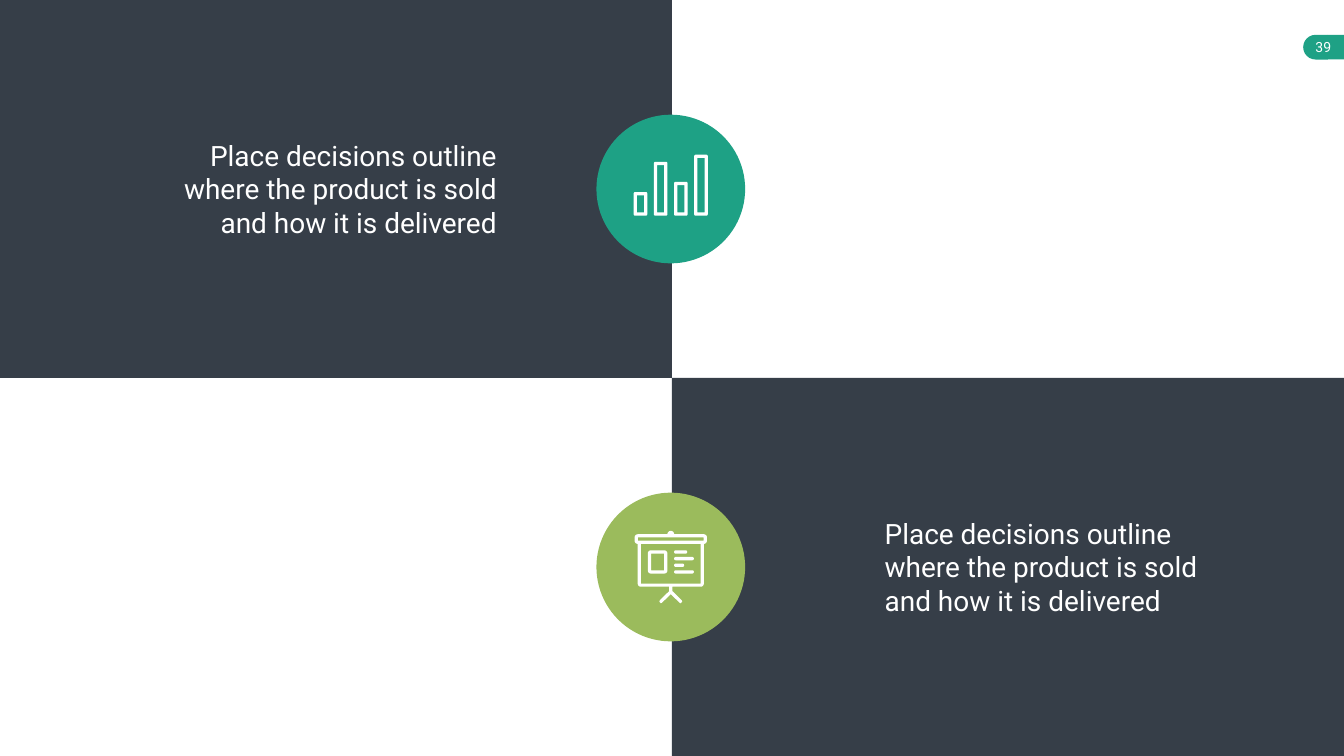
from math import cos, radians, sin

from pptx import Presentation
from pptx.dml.color import RGBColor
from pptx.enum.shapes import MSO_SHAPE
from pptx.enum.text import MSO_ANCHOR, PP_ALIGN
from pptx.util import Pt

COLORS = {"dark": "363E48", "teal": "1EA185", "green": "9BBB5C", "white": "FFFFFF"}
WIDTH, HEIGHT = 1919.52, 1080
HALF_WIDTH, HALF_HEIGHT = WIDTH / 2, HEIGHT / 2
ICON_X = 958
WALL = 4.6
MESSAGE = "Place decisions outline where the product is sold and how it is delivered"


class SlideBuilder:
    def __init__(self, slide, font="Roboto"):
        self.slide = slide
        self.font = font

    def paint(self, shape, color):
        shape.shadow.inherit = False
        shape.fill.solid()
        shape.fill.fore_color.rgb = RGBColor.from_string(COLORS[color])
        shape.line.fill.background()
        return shape

    def shape(self, kind, left, top, width, height, color):
        shape = self.slide.shapes.add_shape(kind, Pt(left), Pt(top), Pt(width), Pt(height))
        return self.paint(shape, color)

    def text(self, words, left, top, width, height, size, align, anchor=MSO_ANCHOR.TOP):
        box = self.slide.shapes.add_textbox(Pt(left), Pt(top), Pt(width), Pt(height))
        frame = box.text_frame
        frame.word_wrap = True
        frame.vertical_anchor = anchor
        paragraph = frame.paragraphs[0]
        paragraph.text = words
        paragraph.alignment = align
        paragraph.font.name = self.font
        paragraph.font.size = Pt(size)
        paragraph.font.color.rgb = RGBColor.from_string(COLORS["white"])

    def icon(self, contours, center_x, center_y):
        placed = [[(Pt(center_x + x), Pt(center_y + y)) for x, y in contour] for contour in contours]
        outline = self.slide.shapes.build_freeform(*placed[0][0], scale=1.0)
        outline.add_line_segments(placed[0][1:])
        for contour in placed[1:]:
            outline.move_to(*contour[0])
            outline.add_line_segments(contour[1:])
        self.paint(outline.convert_to_shape(), "white")

    def badge(self, center_y, color, contours, diameter=212.4):
        radius = diameter / 2
        self.shape(MSO_SHAPE.OVAL, ICON_X - radius, center_y - radius, diameter, diameter, color)
        self.icon(contours, ICON_X, center_y)


def arc(x, y, radius, start, end):
    return [(x + radius * cos(radians(a)), y + radius * sin(radians(a)))
            for a in range(start, end + 1, 15)]


def rounded(x, y, width, height, radius=2.2):
    right, bottom = x + width - radius, y + height - radius
    left, top = x + radius, y + radius
    return (arc(left, top, radius, 180, 270) + arc(right, top, radius, 270, 360)
            + arc(right, bottom, radius, 0, 90) + arc(left, bottom, radius, 90, 180))


def rectangle(x, y, width, height):
    return [(x, y), (x + width, y), (x + width, y + height), (x, y + height)]


def frame(x, y, width, height, radius=2.2):
    hole = rectangle(x + WALL, y + WALL, width - 2 * WALL, height - 2 * WALL)
    return [rounded(x, y, width, height, radius), hole]


def bar_chart_icon(baseline=38.2, pitch=28.8, bar_width=19.4):
    contours = []
    for index, height in enumerate((33.8, 77, 48.4, 87.2)):
        contours += frame(-52.9 + index * pitch, baseline - height, bar_width, height)
    return contours


def board_icon():
    header = frame(-51.6, -46.8, 103.2, 13.8, 4.5)
    knob = arc(0, -46.8, 4.8, 180, 360)
    panel_top, panel_bottom, panel_side = -33, 28.2, 47.2
    panel = ([(-panel_side, panel_top), (panel_side, panel_top)]
             + arc(panel_side - 4.5, panel_bottom - 4.5, 4.5, 0, 90)
             + arc(-panel_side + 4.5, panel_bottom - 4.5, 4.5, 90, 180))
    panel_hole = rectangle(-panel_side + WALL, panel_top, 2 * (panel_side - WALL),
                           panel_bottom - WALL - panel_top)
    left_leg = [(-2.4, 28.2), (-2.4, 34.6), (-15.6, 47.5), (-16.3, 49.7), (-14.2, 51.8), (-12.7, 51.1)]
    right_leg = [(-x, y) for x, y in reversed(left_leg)]
    tripod = left_leg + [(0, 38.9)] + right_leg
    picture = frame(-32.8, -23.8, 28, 33.2, 4.5)
    captions = [rounded(4.8, -23.8 + 9.5 * row, length, 4.7)
                for row, length in enumerate((18.7, 28.1, 14.2, 28.1))]
    return header + [knob, panel, panel_hole, tripod] + picture + captions


def main():
    deck = Presentation()
    deck.slide_width, deck.slide_height = Pt(WIDTH), Pt(HEIGHT)
    builder = SlideBuilder(deck.slides.add_slide(deck.slide_layouts[6]))

    page_tab = builder.shape(MSO_SHAPE.FLOWCHART_DELAY, 1861.2, 49.7, 35.3, 35.3, "teal")
    page_tab.rotation = 180
    builder.shape(MSO_SHAPE.RECTANGLE, 1896.5, 49.7, WIDTH - 1896.5, 35.3, "teal")
    builder.text("39", 1862.6, 48.2, 54.8, 38.9, 20, PP_ALIGN.CENTER, MSO_ANCHOR.MIDDLE)

    quadrants = (
        (HALF_WIDTH, HALF_HEIGHT, 1256.4, PP_ALIGN.LEFT, "green", board_icon()),
        (0, 0, 244.1, PP_ALIGN.RIGHT, "teal", bar_chart_icon()),
    )
    for left, top, message_left, align, color, contours in quadrants:
        builder.shape(MSO_SHAPE.RECTANGLE, left, top, HALF_WIDTH, HALF_HEIGHT, "dark")
        builder.text(MESSAGE, message_left, top + 193.7, 472.3, 152.6, 40, align)
        builder.badge(top + HALF_HEIGHT / 2, color, contours)

    deck.save("out.pptx")


if __name__ == "__main__":
    main()
